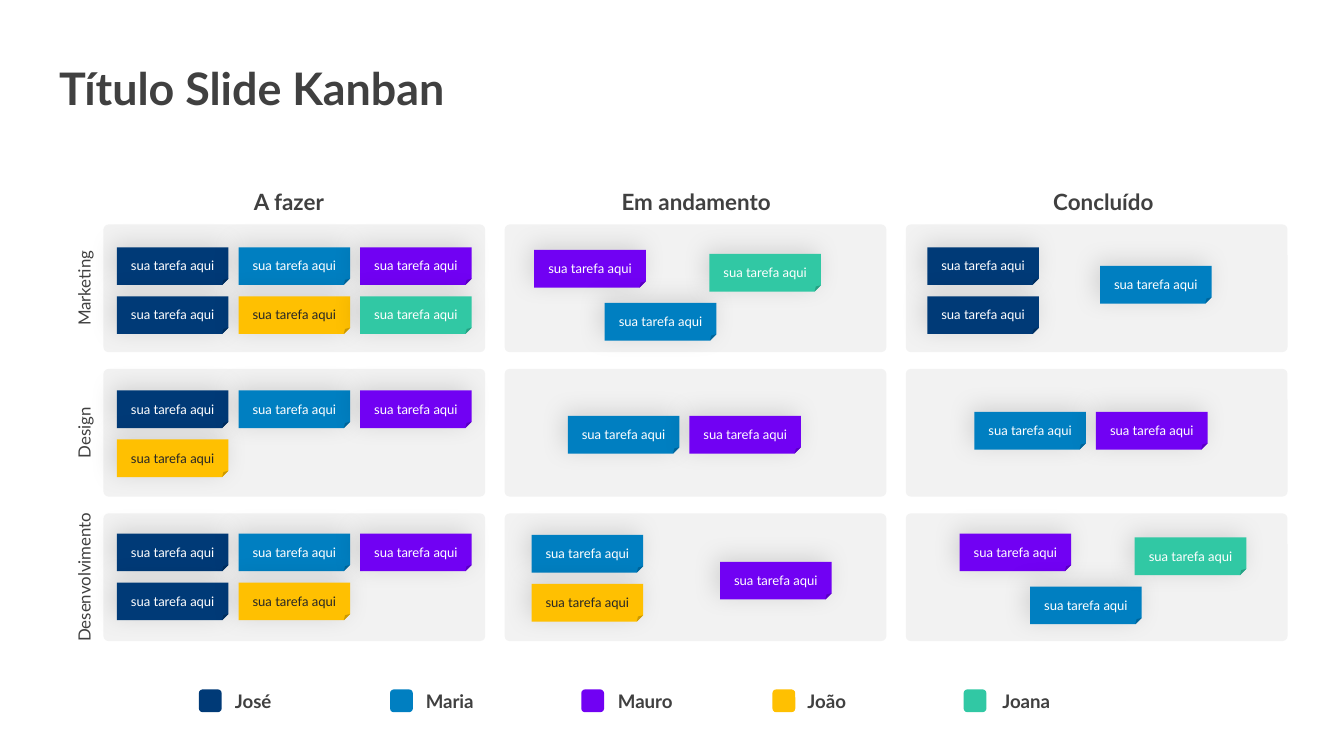
import pptx
import pptx.util
import pptx.dml.color
import pptx.enum.shapes
import pptx.enum.text
import pptx.oxml
import pptx.oxml.ns

SHAPE = pptx.enum.shapes.MSO_SHAPE
ALIGN = pptx.enum.text.PP_ALIGN
IN = pptx.util.Inches

WIDTH = 10
HEIGHT = WIDTH * 9 / 16
FONT, INK, PANEL = "Lato", "404040", "F2F2F2"
LEFT, TOP = 0.77, 1.67
COL_STEP, ROW_STEP = 5.97 / 2, 2.15 / 2
CELL_W, CELL_H = 2.84, 0.95
NOTE_W, NOTE_H = 0.83, 0.28
NOTE_COL, NOTE_ROW = 1.81 / 2, 0.73 / 2
LEGEND_LEFT, LEGEND_STEP, SWATCH = 1.48, 5.69 / 4, 0.17
LEGEND_LABELS = [1.65, 3.07, 4.5, 5.91, 7.36]

COLUMNS = ["A fazer", "Em andamento", "Concluído"]
ROWS = ["Marketing", "Design", "Desenvolvimento"]
PEOPLE = {
    "José": "003A77",
    "Maria": "007FC1",
    "Mauro": "7101F3",
    "João": "FFC001",
    "Joana": "31C8A4",
}

GRID = [(0, 0), (1, 0), (2, 0), (0, 1), (1, 1), (2, 1)]
STACK = [(0, 0), (0, 1), (1.42, 0.38)]
WIDE_STACK = [(0, 0), (0, 1), (1.55, 0.55)]
TRIANGLE = [(0, 0), (0.58, 1.08), (1.44, 0.08)]

BOARD = [
    (0, 0, 0.1, 0.17, GRID, ["José", "Maria", "Mauro", "José", "João", "Joana"]),
    (0, 1, 0.1, 0.16, GRID, ["José", "Maria", "Mauro", "João"]),
    (0, 2, 0.1, 0.15, GRID, ["José", "Maria", "Mauro", "José", "João"]),
    (1, 0, 0.22, 0.19, TRIANGLE, ["Mauro", "Maria", "Joana"]),
    (1, 1, 0.47, 0.35, GRID, ["Maria", "Mauro"]),
    (1, 2, 0.2, 0.16, WIDE_STACK, ["Maria", "João", "Mauro"]),
    (2, 0, 0.16, 0.17, STACK, ["José", "José", "Maria"]),
    (2, 1, 0.51, 0.32, GRID, ["Maria", "Mauro"]),
    (2, 2, 0.4, 0.15, TRIANGLE, ["Mauro", "Maria", "Joana"]),
]


def color(value):
    return pptx.dml.color.RGBColor.from_string(value)


def write(sp, text, size, ink=INK, bold=False, align=ALIGN.CENTER):
    tf = sp.text_frame
    tf.word_wrap = True
    tf.auto_size = pptx.enum.text.MSO_AUTO_SIZE.NONE
    tf.vertical_anchor = pptx.enum.text.MSO_ANCHOR.MIDDLE
    p = tf.paragraphs[0]
    p.alignment = align
    r = p.add_run()
    r.text = text
    r.font.name = FONT
    r.font.size = pptx.util.Pt(size)
    r.font.bold = bold
    r.font.color.rgb = color(ink)


def add_title(s, text):
    sp = s.shapes.title
    sp.left, sp.top, sp.width, sp.height = IN(0.34), IN(0.44), IN(7.18), IN(0.42)
    write(sp, text, 24, bold=True, align=ALIGN.LEFT)


def add_label(s, x, y, w, h, text, size, **style):
    sp = s.shapes.add_textbox(IN(x), IN(y), IN(w), IN(h))
    write(sp, text, size, **style)
    return sp


def add_block(s, kind, x, y, w, h, fill):
    sp = s.shapes.add_shape(kind, IN(x), IN(y), IN(w), IN(h))
    sp.shadow.inherit = False
    sp.fill.solid()
    sp.fill.fore_color.rgb = color(fill)
    sp.line.fill.background()
    return sp


def add_shadow(sp):
    effects = sp._element.spPr.find(pptx.oxml.ns.qn("a:effectLst"))
    effects.append(pptx.oxml.parse_xml(
        f'<a:outerShdw {pptx.oxml.ns.nsdecls("a")} blurRad="165100" dist="38100" '
        'dir="13500000" algn="br" rotWithShape="0"><a:srgbClr val="000000">'
        '<a:alpha val="12000"/></a:srgbClr></a:outerShdw>'))


def add_note(s, x, y, person):
    sp = add_block(s, SHAPE.FOLDED_CORNER, x, y, NOTE_W, NOTE_H, PEOPLE[person])
    add_shadow(sp)
    tf = sp.text_frame
    tf.margin_left = tf.margin_right = tf.margin_bottom = IN(0.04)
    tf.margin_top = IN(0.08)
    write(sp, "sua tarefa aqui", 7, ink="262626" if person == "João" else "FFFFFF")


def add_cell(s, col, row):
    sp = add_block(s, SHAPE.ROUNDED_RECTANGLE, LEFT + col * COL_STEP,
                   TOP + row * ROW_STEP, CELL_W, CELL_H, PANEL)
    sp.adjustments[0] = 0.039


def add_board(s):
    for row, name in enumerate(ROWS):
        for col in range(len(COLUMNS)):
            add_cell(s, col, row)
        label = add_label(s, 0.02, 2.02 + row * ROW_STEP, 1.21, 0.25, name, 9)
        label.rotation = 270
    for col, name in enumerate(COLUMNS):
        add_label(s, 1.16 + col * 3.03, 1.35, 1.98, 0.3, name, 12, bold=True)


def add_notes(s):
    for col, row, dx, dy, layout, people in BOARD:
        x, y = LEFT + col * COL_STEP + dx, TOP + row * ROW_STEP + dy
        for (i, j), person in zip(layout, people):
            add_note(s, x + i * NOTE_COL, y + j * NOTE_ROW, person)


def add_legend(s):
    for i, (name, fill) in enumerate(PEOPLE.items()):
        add_block(s, SHAPE.ROUNDED_RECTANGLE, LEGEND_LEFT + i * LEGEND_STEP, 5.13,
                  SWATCH, SWATCH, fill)
        add_label(s, LEGEND_LABELS[i], 5.08, 1.16, 0.27, name, 10,
                  bold=True, align=ALIGN.LEFT)


def main():
    prs = pptx.Presentation()
    prs.slide_width, prs.slide_height = IN(WIDTH), IN(HEIGHT)
    s = prs.slides.add_slide(prs.slide_layouts[5])
    add_title(s, "Título Slide Kanban")
    add_board(s)
    add_legend(s)
    add_notes(s)
    prs.save("out.pptx")


if __name__ == "__main__":
    main()
